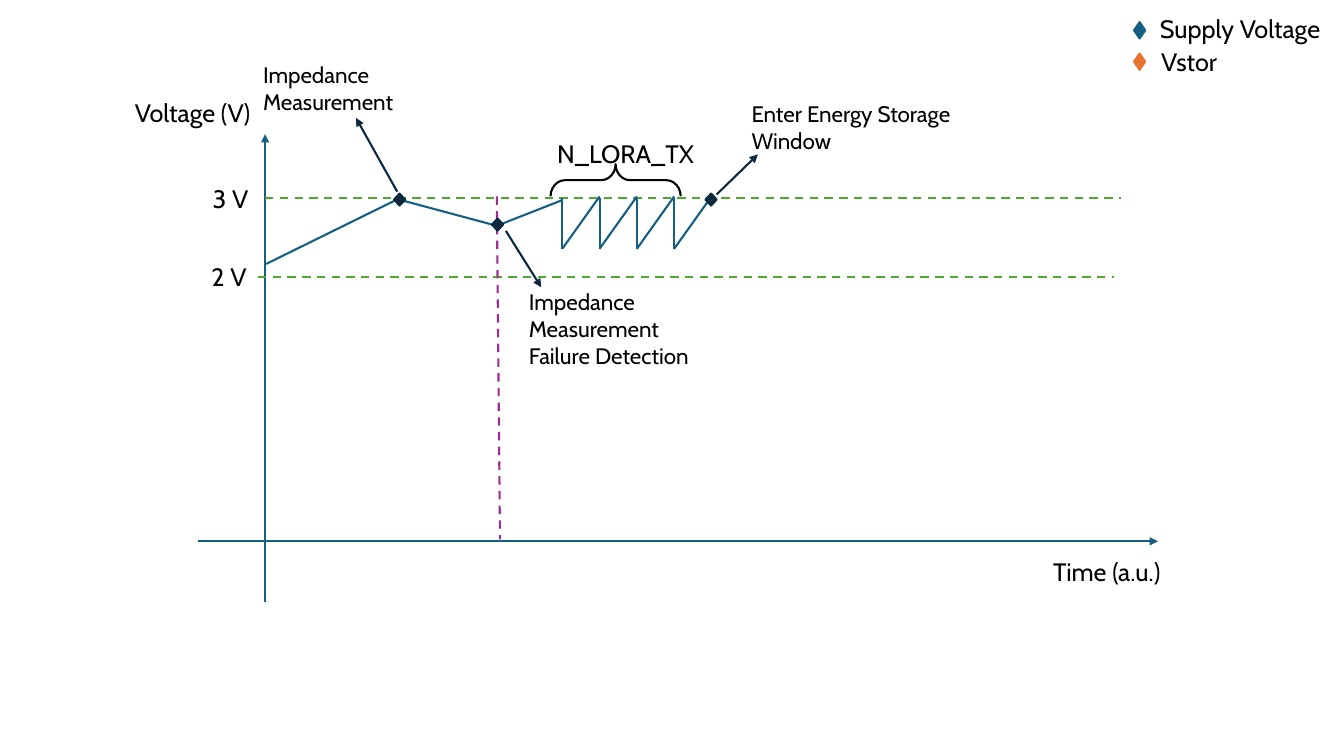
from dataclasses import dataclass

from lxml import etree
from pptx import Presentation
from pptx import util as u
from pptx.dml import color as dml
from pptx.enum import dml as line_styles, shapes, text
from pptx.oxml import ns

COLORS = {
    "supply": "156082",
    "vstor": "E97132",
    "level": "4EA72E",
    "failure": "A02B93",
    "pointer": "0E2841",
    "marker edge": "092A39",
    "text": "000000",
}
LINE_WIDTH = u.Pt(1.5)
FRAME_FORMAT = {"word_wrap": True, "auto_size": text.MSO_AUTO_SIZE.SHAPE_TO_FIT_TEXT}


@dataclass
class Segment:
    start: tuple[float, float]
    end: tuple[float, float]
    color: str = "supply"
    dashed: bool = False
    arrow: bool = False


@dataclass
class Marker:
    left: float
    top: float
    height: float = 0.3
    fill: str = "pointer"
    edge: str = "marker edge"


@dataclass
class Label:
    words: str
    left: float
    top: float
    width: float
    height: float = 1.02
    size: int = 18


AXES = [
    Segment((6.68, 15.16), (6.68, 3.38), arrow=True),
    Segment((5, 13.64), (29.18, 13.64), arrow=True),
]
GUIDES = [
    Segment((6.68, 5), (28.24, 5), "level", dashed=True),
    Segment((6.5, 6.99), (28.07, 6.99), "level", dashed=True),
    Segment((12.52, 4.95), (12.6, 13.59), "failure", dashed=True),
]
SUPPLY_START = [
    Segment((6.71, 6.65), (10.06, 5)),
    Segment((10.06, 5.03), (12.52, 5.69)),
    Segment((12.52, 5.69), (14.15, 5.05)),
]
POINTERS = [
    Segment((10.01, 4.83), (8.97, 2.97), "pointer", arrow=True),
    Segment((12.75, 5.82), (13.64, 7.24), "pointer", arrow=True),
    Segment((18.06, 4.9), (19.1, 3.89), "pointer", arrow=True),
]
MARKERS = [
    Marker(9.93, 4.88),
    Marker(12.4, 5.51),
    Marker(17.78, 4.88),
    Marker(28.58, 0.56, 0.41, "supply", "supply"),
    Marker(28.58, 1.35, 0.41, "vstor", "vstor"),
]
LABELS = [
    Label("Time (a.u.)", 26.29, 13.89, 3.53),
    Label("Voltage (V)", 3.15, 2.34, 3.53),
    Label("3 V", 5.11, 4.5, 1.5),
    Label("2 V", 5.08, 6.45, 1.5),
    Label("Impedance Measurement", 6.38, 1.42, 4.57, 1.63, 16),
    Label("Impedance Measurement\nFailure Detection", 13.08, 7.14, 4.88, 2.31, 16),
    Label("N_LORA_TX", 13.79, 3.35, 4.27),
    Label("Enter Energy Storage Window", 18.69, 2.39, 5.64, 1.63, 16),
    Label("Supply Voltage", 28.98, 0.2, 4.67),
    Label("Vstor", 29.01, 1.04, 4.67),
]


def rgb(name: str) -> dml.RGBColor:
    return dml.RGBColor.from_string(COLORS[name])


def transmission_teeth(count: int = 4, first: float = 14.17, step: float = 0.94) -> list[Segment]:
    """Return a drop and a rise in supply voltage for each transmission."""
    teeth = []
    for index in range(count):
        left = first + index * step
        teeth += [
            Segment((left, 5), (left, 6.27)),
            Segment((left, 6.27), (left + step, 4.95)),
        ]
    return teeth


def draw_segment(page, segment: Segment) -> None:
    ends = [u.Cm(value) for value in segment.start + segment.end]
    connector = page.shapes.add_connector(shapes.MSO_CONNECTOR.STRAIGHT, *ends)
    connector.line.width = LINE_WIDTH
    connector.line.color.rgb = rgb(segment.color)
    if segment.dashed:
        connector.line.dash_style = line_styles.MSO_LINE.DASH
    properties = connector._element.spPr
    if segment.arrow:
        outline = properties.find(ns.qn("a:ln"))
        etree.SubElement(outline, ns.qn("a:tailEnd"), type="triangle")
    etree.SubElement(properties, ns.qn("a:effectLst"))


def draw_marker(page, marker: Marker) -> None:
    box = [u.Cm(v) for v in (marker.left, marker.top, 0.28, marker.height)]
    diamond = page.shapes.add_shape(shapes.MSO_SHAPE.DIAMOND, *box)
    diamond.shadow.inherit = False
    diamond.fill.solid()
    diamond.fill.fore_color.rgb = rgb(marker.fill)
    diamond.line.color.rgb = rgb(marker.edge)
    diamond.line.width = LINE_WIDTH


def draw_transmission_brace(page) -> None:
    box = [u.Cm(v) for v in (15.11, 2.9, 0.81, 3.28)]
    brace = page.shapes.add_shape(shapes.MSO_SHAPE.RIGHT_BRACE, *box)
    brace.rotation = 270
    brace.adjustments[0] = 0.45
    brace.shadow.inherit = False
    brace.fill.background()
    brace.line.color.rgb = rgb("text")
    brace.line.width = LINE_WIDTH


def draw_label(page, label: Label) -> None:
    size = [u.Cm(v) for v in (label.left, label.top, label.width, label.height)]
    box = page.shapes.add_textbox(*size)
    for name, value in FRAME_FORMAT.items():
        setattr(box.text_frame, name, value)
    box.text_frame.text = label.words
    font_format = {"name": "Cabin", "size": u.Pt(label.size)}
    for para in box.text_frame.paragraphs:
        for span in para.runs:
            for name, value in font_format.items():
                setattr(span.font, name, value)
            span.font.color.rgb = rgb("text")


def main() -> None:
    deck = Presentation()
    deck.slide_width, deck.slide_height = u.Cm(33.87), u.Cm(19.05)
    page = deck.slides.add_slide(deck.slide_layouts[6])
    for segment in AXES + GUIDES + SUPPLY_START + transmission_teeth() + POINTERS:
        draw_segment(page, segment)
    draw_transmission_brace(page)
    for marker in MARKERS:
        draw_marker(page, marker)
    for label in LABELS:
        draw_label(page, label)
    deck.save("out.pptx")


if __name__ == "__main__":
    main()
